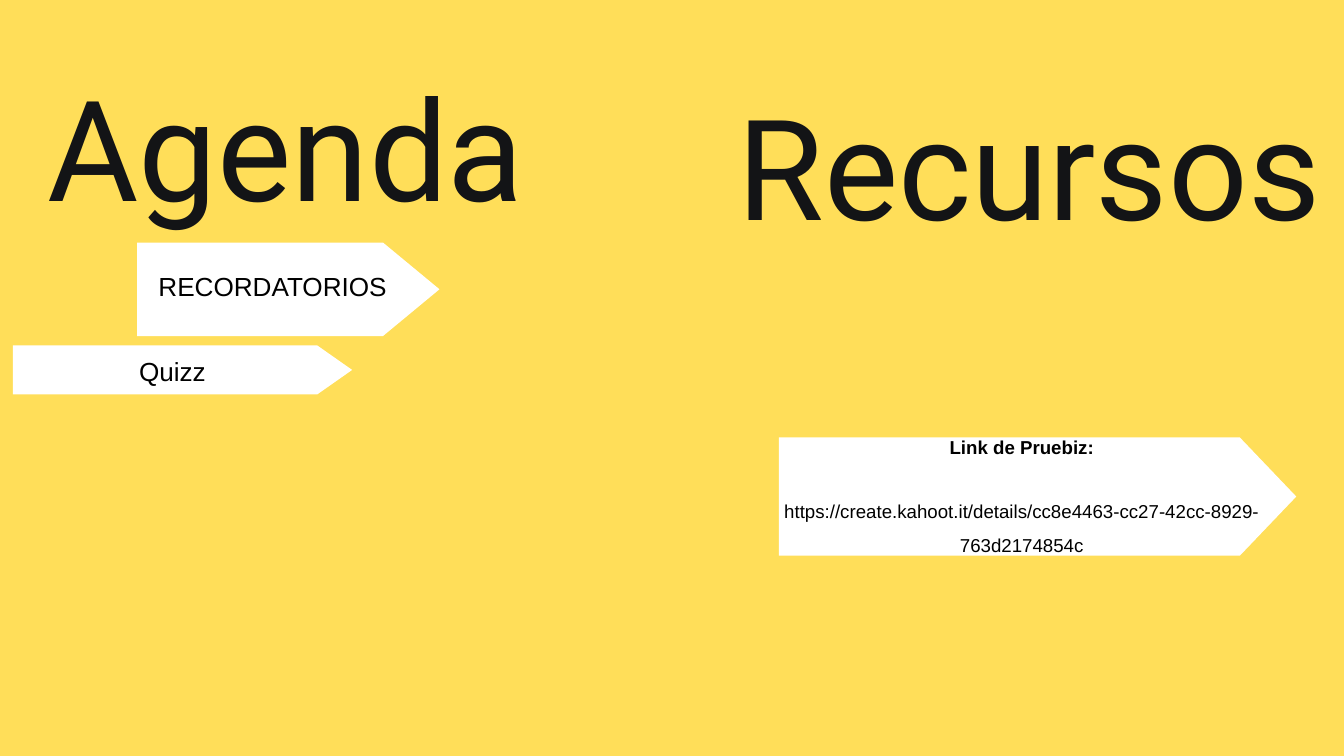
from pptx import Presentation
from pptx.dml.color import RGBColor
from pptx.enum import shapes, text
from pptx.util import Inches, Pt

YELLOW = RGBColor(0xFF, 0xDE, 0x59)
WHITE = RGBColor(0xFF, 0xFF, 0xFF)
BLACK = RGBColor(0, 0, 0)
INK = RGBColor(0x13, 0x14, 0x16)

AGENDA = ("Agenda", (0.71, 0.54, 7.49, 2.53))
RESOURCES = ("Recursos", (10.98, 0.83, 10.4, 2.53))

# Arrow box, tip length, label rise above the arrow, font size, (line, bold) pairs
ARROWS = [
    ((0.19, 5.14, 5.05, 0.73), 0.52, 0.2, 28, [("Quizz", False)]),
    ((2.04, 3.61, 4.5, 1.39), 0.84, 0.31, 28, [("RECORDATORIOS", False)]),
    ((11.59, 6.51, 7.7, 1.76), 0.84, 0.19, 20, [
        ("Link de Pruebiz:", True),
        ("https://create.kahoot.it/details/cc8e4463-cc27-42cc-8929-763d2174854c", False),
    ]),
]
LABEL_INSET = 0.06
LABEL_SPACING = 1.48
PARAGRAPH_GAP = Pt(34)


def set_margins(frame, inset):
    frame.margin_left = frame.margin_right = Inches(inset)
    frame.margin_top = frame.margin_bottom = Inches(inset)


def add_run(paragraph, words, font_name, size, color, bold=False):
    run = paragraph.add_run()
    run.text = words
    run.font.name = font_name
    run.font.size = Pt(size)
    run.font.bold = bold
    run.font.color.rgb = color


def format_heading(heading, words, box):
    heading.left, heading.top, heading.width, heading.height = map(Inches, box)
    frame = heading.text_frame
    set_margins(frame, 0)
    frame.word_wrap = True
    frame.auto_size = text.MSO_AUTO_SIZE.NONE
    frame.vertical_anchor = text.MSO_ANCHOR.TOP
    paragraph = frame.paragraphs[0]
    paragraph.alignment = text.PP_ALIGN.LEFT
    paragraph.line_spacing = 1.15
    paragraph.space_before = Pt(0)
    add_run(paragraph, words, "Roboto", 150, INK)


def add_arrow(slide, box, tip, rise, size, lines):
    left, top, width, height = box
    arrow = slide.shapes.add_shape(shapes.MSO_SHAPE.PENTAGON, *map(Inches, box))
    arrow.adjustments[0] = tip / height
    arrow.shadow.inherit = False
    arrow.fill.solid()
    arrow.fill.fore_color.rgb = WHITE
    arrow.line.fill.background()

    label_box = (left, top - rise, width - tip + 0.37 * (height > 1) + 0.22 * (height < 1), height + rise)
    label = slide.shapes.add_textbox(*map(Inches, label_box))
    frame = label.text_frame
    frame.word_wrap = True
    frame.vertical_anchor = text.MSO_ANCHOR.MIDDLE
    set_margins(frame, LABEL_INSET)
    for index, (words, bold) in enumerate(lines):
        paragraph = frame.add_paragraph() if index else frame.paragraphs[0]
        paragraph.alignment = text.PP_ALIGN.CENTER
        paragraph.line_spacing = LABEL_SPACING
        if index:
            paragraph.space_before = PARAGRAPH_GAP
        add_run(paragraph, words, "Arial", size, BLACK, bold)


def main():
    deck = Presentation()
    deck.slide_width, deck.slide_height = Inches(20), Inches(11.25)
    slide = deck.slides.add_slide(deck.slide_layouts[5])
    slide.background.fill.solid()
    slide.background.fill.fore_color.rgb = YELLOW

    format_heading(slide.shapes.title, *AGENDA)
    resources = slide.shapes.add_textbox(0, 0, 0, 0)
    format_heading(resources, *RESOURCES)
    for arrow in ARROWS:
        add_arrow(slide, *arrow)
    deck.save("out.pptx")


if __name__ == "__main__":
    main()
